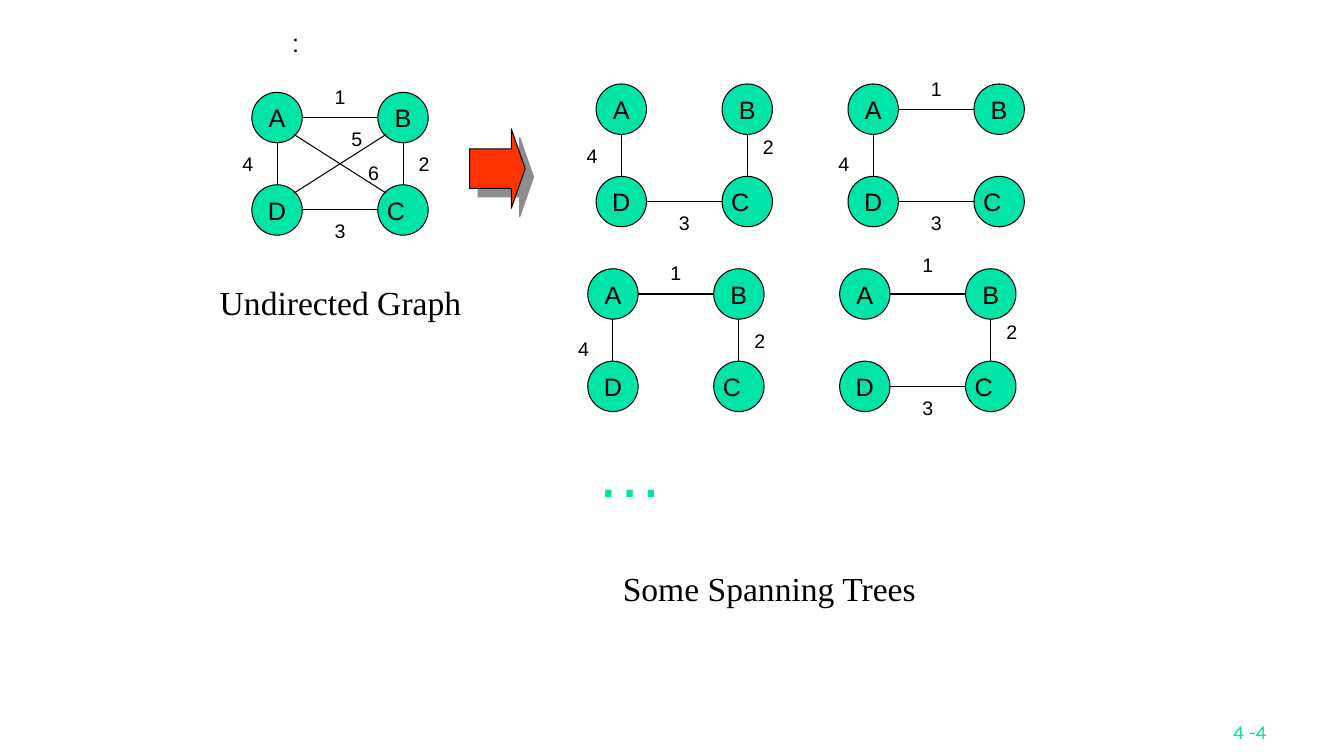
from lxml.etree import SubElement
from pptx import Presentation
from pptx.dml.color import RGBColor
from pptx.enum.shapes import MSO_CONNECTOR as Connector, MSO_SHAPE as Shape
from pptx.enum.text import MSO_ANCHOR as Anchor, PP_ALIGN as Align
from pptx.oxml.ns import qn
from pptx.util import Cm, Pt

BLACK = RGBColor(0x00, 0x00, 0x00)
WHITE = RGBColor(0xFF, 0xFF, 0xFF)
GREEN = RGBColor(0x00, 0xE4, 0xA8)
RED = RGBColor(0xFF, 0x33, 0x00)
SHADOW = "1C1C1C"

NODE_SIZE = 6
NODES = {"A": (0, 0), "D": (0, 11), "C": (15, 11), "B": (15, 0)}
EDGES = {
    1: ((6, 3), (15, 3)),
    2: ((18, 6), (18, 11)),
    3: ((6, 14), (15, 14)),
    4: ((3, 6), (3, 11)),
    5: ((5, 12), (16, 5)),
    6: ((5, 5), (16, 12)),
}
WEIGHT_BOXES = {
    1: (9, -1, 3, 3),
    2: (19, 7, 3, 3),
    3: (9, 15, 3, 3),
    4: (-2, 7, 3, 3),
    5: (11, 5, 3, 1),
    6: (13, 9, 3, 1),
}
GRAPHS = [
    ((30, 11), (1, 2, 3, 4, 5, 6), {}),
    ((71, 10), (2, 3, 4), {2: -1}),
    ((101, 10), (1, 3, 4), {4: 1}),
    ((70, 32), (1, 2, 4), {4: 1}),
    ((100, 32), (1, 2, 3), {1: -1, 2: -1}),
]


def grid(steps):
    return Cm(steps * 2.54 / 12)


def style_text(shape, text, size, color, font="Arial", align=Align.CENTER):
    paragraph = shape.text_frame.paragraphs[0]
    paragraph.text = text
    paragraph.alignment = align
    paragraph.font.size = Pt(size)
    paragraph.font.name = font
    paragraph.font.color.rgb = color


def add_plain_shape(slide, kind, box, fill, outline):
    shape = slide.shapes.add_shape(kind, *box)
    shape.shadow.inherit = False
    shape.fill.solid()
    shape.fill.fore_color.rgb = fill
    shape.line.color.rgb = outline
    shape.line.width = Pt(0.75)
    return shape


def add_label(slide, kind, box, text, size, fill=WHITE, outline=WHITE, color=BLACK):
    label = add_plain_shape(slide, kind, [grid(n) for n in box], fill, outline)
    frame = label.text_frame
    frame.margin_left = frame.margin_right = Cm(0)
    frame.margin_top = frame.margin_bottom = Cm(0)
    frame.word_wrap = False
    frame.vertical_anchor = Anchor.MIDDLE
    style_text(label, text, size, color)
    return label


def add_edge(slide, x, y, start, end):
    edge = slide.shapes.add_connector(
        Connector.STRAIGHT,
        grid(x + start[0]), grid(y + start[1]),
        grid(x + end[0]), grid(y + end[1]))
    edge.line.color.rgb = BLACK
    edge.line.width = Pt(0.75)
    SubElement(edge._element.spPr, qn("a:effectLst"))


def add_graph(slide, origin, weights, nudges):
    x, y = origin
    for name, (dx, dy) in NODES.items():
        box = (x + dx, y + dy, NODE_SIZE, NODE_SIZE)
        node = add_label(slide, Shape.OVAL, box, name, 18, GREEN, BLACK)
        if name == "C":
            node.text_frame.margin_right = Cm(0.35)
    for weight in weights:
        add_edge(slide, x, y, *EDGES[weight])
    for weight in weights:
        dx, dy, width, height = WEIGHT_BOXES[weight]
        box = (x + dx, y + dy + nudges.get(weight, 0), width, height)
        add_label(slide, Shape.RECTANGLE, box, str(weight), 14)


def add_result_arrow(slide):
    box = (Cm(11.84), Cm(3.25), Cm(1.4), Cm(2))
    arrow = add_plain_shape(slide, Shape.RIGHT_ARROW, box, RED, BLACK)
    arrow.adjustments[0] = 0.5
    arrow.adjustments[1] = 0.25
    effects = arrow._element.spPr.find(qn("a:effectLst"))
    shadow = SubElement(effects, qn("a:outerShdw"), blurRad="0",
                        dist=str(Pt(8.5)), dir="2700000", algn="ctr",
                        rotWithShape="0")
    color = SubElement(shadow, qn("a:srgbClr"), val=SHADOW)
    SubElement(color, qn("a:alpha"), val="50000")


def add_text(slide, box, text, size, font, color=BLACK,
             align=Align.LEFT, anchor=Anchor.TOP):
    caption = slide.shapes.add_textbox(*[Cm(n) for n in box])
    caption.text_frame.word_wrap = True
    caption.text_frame.vertical_anchor = anchor
    style_text(caption, text, size, color, font, align)


def main():
    presentation = Presentation()
    presentation.slide_width = Cm(33.88)
    presentation.slide_height = Cm(19.05)
    slide = presentation.slides.add_slide(presentation.slide_layouts[6])

    add_text(slide, (5.29, 6.99, 8, 1.27), "Undirected Graph", 24, "Times New Roman")
    add_text(slide, (15.45, 14.18, 9.85, 1.27), "Some Spanning Trees", 24, "Times New Roman")
    add_result_arrow(slide)
    add_label(slide, Shape.RECTANGLE, (33.7, 3, 3, 4), ":", 18)
    for origin, weights, nudges in GRAPHS:
        add_graph(slide, origin, weights, nudges)
    add_label(slide, Shape.RECTANGLE, (67, 53, 16, 6), "…", 48, color=GREEN)
    add_text(slide, (25.12, 17.58, 7.06, 1.27), "4 -4", 14, "Karla",
             GREEN, Align.RIGHT, Anchor.BOTTOM)

    presentation.save("out.pptx")


if __name__ == "__main__":
    main()
